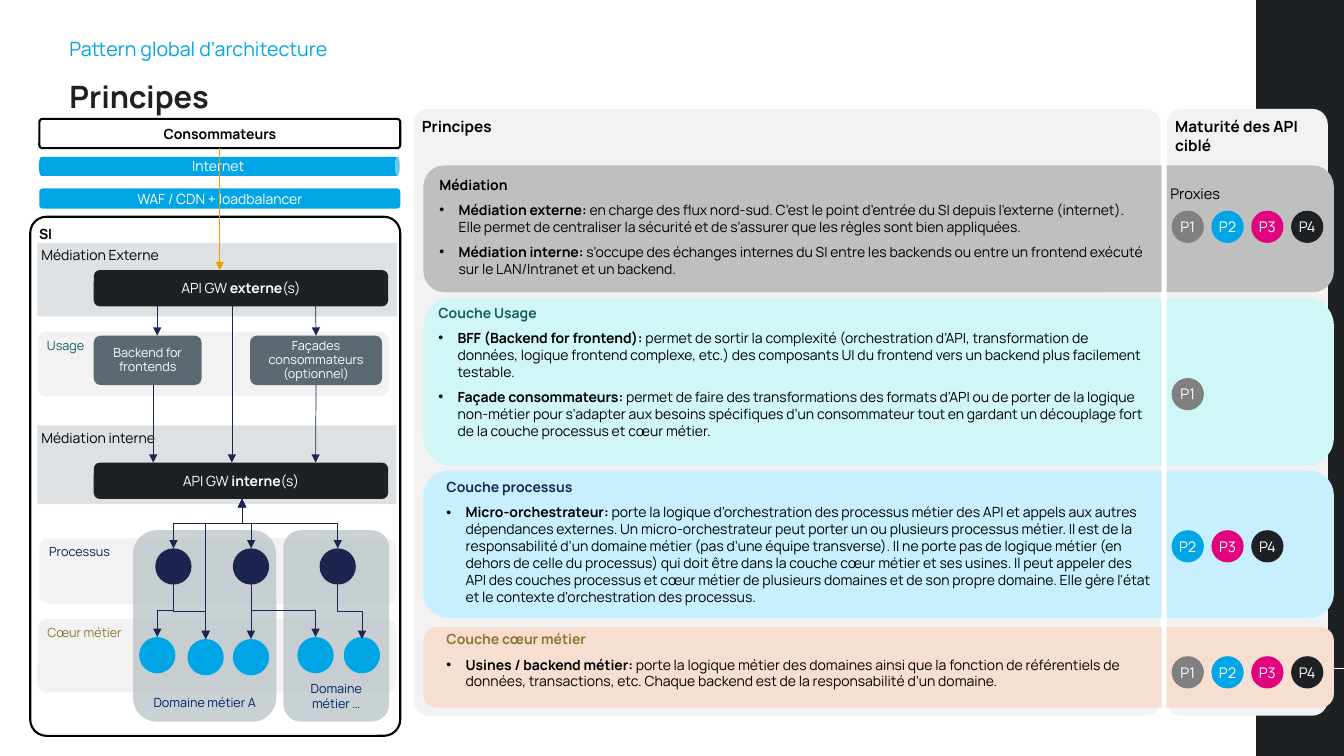
import pptx
import pptx.util
import pptx.dml.color
import pptx.enum.shapes
import pptx.enum.text
import pptx.oxml.ns
import lxml.etree

Inches, Pt, qn = pptx.util.Inches, pptx.util.Pt, pptx.oxml.ns.qn
colour = pptx.dml.color.RGBColor.from_string
Shape = pptx.enum.shapes.MSO_SHAPE
Link = pptx.enum.shapes.MSO_CONNECTOR
Align = pptx.enum.text.PP_ALIGN
Anchor = pptx.enum.text.MSO_ANCHOR
BLACK, WHITE, INK, NAVY, SKY = "000000", "FFFFFF", "1E2124", "1C244F", "00A5E5"
PALE, GREY, BLUE, GOLD, TEAL = "F2F2F2", "DDE1E4", "002060", "8F7332", "136061"

deck = pptx.Presentation()
deck.slide_width, deck.slide_height = Inches(13.33), Inches(7.5)
page = deck.slides.add_slide(deck.slide_layouts[6])


def block(kind, left, top, width, height, fill=None, corner=None, border=None):
    box = page.shapes.add_shape(kind, *map(Inches, (left, top, width, height)))
    box.shadow.inherit = False
    if corner is not None:
        box.adjustments[0] = corner
    if fill:
        box.fill.solid()
        box.fill.fore_color.rgb = colour(fill)
    else:
        box.fill.background()
    if border:
        box.line.color.rgb = colour(border)
        box.line.width = Pt(1.5)
    else:
        box.line.fill.background()
    return box


def write(box, text, size, ink, align=Align.CENTER, anchor=Anchor.MIDDLE,
          inset=(0.04, 0.04), spacing=1.0):
    """Fill a box; asterisks switch bold, and paragraphs after the first are black bullets."""
    frame = box.text_frame
    frame.word_wrap = True
    frame.vertical_anchor = anchor
    frame.margin_left = frame.margin_right = Inches(inset[0])
    frame.margin_top = frame.margin_bottom = Inches(inset[1])
    for row, line in enumerate(text.split("\n")):
        para = frame.add_paragraph() if row else frame.paragraphs[0]
        para.alignment = align
        para.line_spacing = spacing
        if "\n" in text:
            para.space_after = Pt(6)
        if row:
            props = para._p.get_or_add_pPr()
            props.set("marL", str(Inches(0.19)))
            props.set("indent", str(-Inches(0.19)))
            lxml.etree.SubElement(props, qn("a:buFont")).set("typeface", "Arial")
            lxml.etree.SubElement(props, qn("a:buChar")).set("char", "•")
        for turn, piece in enumerate(line.split("*")):
            if piece:
                span = para.add_run()
                span.text = piece
                span.font.name = "Manrope"
                span.font.size = Pt(size)
                span.font.bold = turn % 2 == 1
                span.font.color.rgb = colour(BLACK if row else ink)


# Side band and headings
block(Shape.RECTANGLE, 12.46, 0, 0.87, 7.5, INK)
rule = page.shapes.add_connector(Link.STRAIGHT, *map(Inches, (12.46, 6.63, 13.33, 6.63)))
connectors = [(rule, WHITE, 0.62, False, False)]
for top, height, text, size, ink, anchor in (
        (0.36, 0.29, "Pattern global d’architecture", 14, SKY, Anchor.BOTTOM),
        (0.65, 0.53, "*Principes*", 22, INK, Anchor.MIDDLE)):
    heading = page.shapes.add_textbox(*map(Inches, (0.59, top, 11.31, height)))
    write(heading, text, size, ink, Align.LEFT, anchor, (0.1, 0.05), 1.2)

# Panels and layers, titled at top left
for left, top, width, height, fill, corner, border, text, size, ink, inset, spacing in (
        (11.57, 1.08, 1.6, 6.02, PALE, 0.096, None, "*Maturité des API ciblé*", 11, BLACK, (0.04, 0.04), 1),
        (4.1, 1.08, 7.41, 6.02, PALE, 0.025, None, "*Principes*", 11, BLACK, (0.04, 0.04), 1),
        (0.39, 5.34, 3.54, 0.65, PALE, 0.139, None, "Processus", 9, BLUE, (0.07, 0.05), 0.9),
        (0.37, 6.14, 3.56, 0.73, PALE, 0.139, None, "Cœur métier", 9, GOLD, (0.07, 0.05), 0.9),
        (0.37, 3.29, 3.49, 0.64, PALE, 0.139, None, "Usage", 9, TEAL, (0.07, 0.05), 0.9),
        (0.37, 2.41, 3.57, 0.73, GREY, 0, None, "Médiation Externe", 10, BLACK, (0.04, 0.04), 1),
        (0.37, 4.22, 3.56, 0.78, GREY, 0, None, "Médiation interne", 10, BLACK, (0.04, 0.04), 1),
        (0.3, 2.15, 3.67, 5.15, None, 0.044, BLACK, "*SI*", 10, BLACK, (0.04, 0.04), 1)):
    panel = block(Shape.ROUNDED_RECTANGLE, left, top, width, height, fill, corner, border)
    write(panel, text, size, ink, Align.LEFT, Anchor.TOP, inset, spacing)

# Boxes of the architecture
boxes = {}
for name, left, top, width, height, fill, corner, border, text, size, ink in (
        ("consumers", 0.39, 1.18, 3.58, 0.29, WHITE, 0.108, BLACK, "*Consommateurs*", 10, BLACK),
        ("firewall", 0.39, 1.87, 3.58, 0.2, SKY, 0.167, None, "WAF / CDN + loadbalancer", 10, WHITE),
        ("outer", 0.93, 2.68, 2.92, 0.36, INK, 0.167, None, "API GW *externe*(s)", 10, WHITE),
        ("inner", 0.93, 4.59, 2.92, 0.36, INK, 0.167, None, "API GW *interne*(s)", 10, WHITE),
        ("backend", 0.93, 3.33, 1.07, 0.49, "5B6971", 0.139, None, "Backend for frontends", 9, WHITE),
        ("facades", 2.48, 3.33, 1.31, 0.49, "5B6971", 0.139, None,
         "Façades consommateurs (optionnel)", 9, WHITE)):
    boxes[name] = block(Shape.ROUNDED_RECTANGLE, left, top, width, height, fill, corner, border)
    write(boxes[name], text, size, ink, inset=(0.07, 0.04), spacing=0.9 if size == 9 else 1)

internet = block(Shape.CAN, 2.08, -0.14, 0.19, 3.58, SKY)
internet.rotation = 90
write(internet, "Internet", 10, WHITE)
internet.text_frame._txBody.bodyPr.set("vert", "vert270")

for left, width, text in ((1.32, 1.42, "Domaine métier A"), (2.81, 1.05, "Domaine métier …")):
    domain = block(Shape.ROUNDED_RECTANGLE, left, 5.26, width, 1.9, "BBC4C8")
    tint = domain._element.spPr.find(qn("a:solidFill"))[0]
    lxml.etree.SubElement(tint, qn("a:alpha")).set("val", "77000")
    write(domain, text, 9, BLUE, anchor=Anchor.BOTTOM, inset=(0.04, 0.05))

for fill, dots in ((NAVY, ((1.54, 5.44), (2.31, 5.44), (3.17, 5.44))),
                   (SKY, ((1.38, 6.32), (1.86, 6.34), (2.31, 6.34), (2.95, 6.32), (3.41, 6.32)))):
    for left, top in dots:
        block(Shape.OVAL, left, top, 0.36, 0.36, fill)

# Straight arrows: x, top, bottom, box above, box below
for x, top, bottom, above, below, ink in (
        (2.18, 1.47, 2.68, "consumers", None, "F09A00"),
        (1.56, 3.04, 3.33, None, None, NAVY), (3.13, 3.04, 3.33, None, "facades", NAVY),
        (2.3, 3.04, 4.59, None, None, NAVY),
        (1.52, 3.82, 4.59, None, None, NAVY), (3.13, 3.82, 4.59, "facades", None, NAVY)):
    arrow = page.shapes.add_connector(Link.STRAIGHT, *map(Inches, (x, top, x, bottom)))
    if above:
        arrow.begin_connect(boxes[above], 2)
    if below:
        arrow.end_connect(boxes[below], 0)
    connectors.append((arrow, ink, 0.5, False, True))

# Elbow arrows leave downwards: drawn sideways, then turned a quarter
for x1, y1, x2, y2, bend, double in (
        (2.4, 4.95, 3.35, 5.44, 0.5, True), (2.4, 4.95, 1.72, 5.44, 0.5, True),
        (2.4, 4.95, 2.49, 5.44, 0.5, True), (2.4, 4.95, 2.04, 6.34, 0.174, True),
        (1.72, 5.8, 1.56, 6.32, 0.5, False), (1.72, 5.8, 2.04, 6.34, 0.5, False),
        (2.49, 5.8, 2.49, 6.34, 0.465, False), (2.49, 5.8, 3.13, 6.32, 0.485, False),
        (3.35, 5.8, 3.59, 6.34, 0.5, False)):
    middle_x, middle_y = (x1 + x2) / 2, (y1 + y2) / 2
    reach, rise = (y2 - y1) / 2, abs(x2 - x1) / 2
    side = -1 if x2 >= x1 else 1
    arrow = page.shapes.add_connector(Link.ELBOW, *map(Inches, (
        middle_x - side * reach, middle_y - rise, middle_x + side * reach, middle_y + rise)))
    props = arrow._element.spPr
    props.find(qn("a:xfrm")).set("rot", str((90 if side > 0 else 270) * 60000))
    guide = lxml.etree.SubElement(props.find(qn("a:prstGeom")).find(qn("a:avLst")), qn("a:gd"))
    guide.set("name", "adj1")
    guide.set("fmla", f"val {round(bend * 100000)}")
    connectors.append((arrow, NAVY, 0.5, double, True))

for arrow, ink, width, head, tail in connectors:
    arrow.line.color.rgb = colour(ink)
    arrow.line.width = Pt(width)
    for tag, wanted in (("a:headEnd", head), ("a:tailEnd", tail)):
        if wanted:
            lxml.etree.SubElement(arrow.line._get_or_add_ln(), qn(tag)).set("type", "triangle")
    lxml.etree.SubElement(arrow._element.spPr, qn("a:effectLst"))

# Principle bands with their maturity badges
badges = {"P1": "808080", "P2": SKY, "P3": "E2037E", "P4": INK}
for top, height, fill, left, text_top, width, ink, badge_top, levels, text in (
        (1.64, 1.26, "BFBFBF", 4.26, 1.7, 7.18, BLACK, 2.09, "P1 P2 P3 P4",
         "*Médiation*\n*Médiation externe: *en charge des flux nord-sud. C’est le point d’entrée du SI depuis "
         "l’externe (internet). Elle permet de centraliser la sécurité et de s’assurer que les règles sont bien "
         "appliquées.\n*Médiation interne: *s’occupe des échanges internes du SI entre les backends ou entre un "
         "frontend exécuté sur le LAN/Intranet et un backend."),
        (2.95, 1.67, "D0F6F6", 4.25, 2.97, 7.25, TEAL, 3.75, "P1",
         "*Couche Usage*\n*BFF (Backend for frontend): *permet de sortir la complexité (orchestration d’API, "
         "transformation de données, logique frontend complexe, etc.) des composants UI du frontend vers un "
         "backend plus facilement testable.\n*Façade consommateurs: *permet de faire des transformations des "
         "formats d’API ou de porter de la logique non-métier pour s’adapter aux besoins spécifiques d’un "
         "consommateur tout en gardant un découplage fort de la couche processus et cœur métier."),
        (4.67, 1.46, "C7EFFF", 4.33, 4.7, 7.18, NAVY, 5.26, "P2 P3 P4",
         "*Couche processus*\n*Micro-orchestrateur: *porte la logique d’orchestration des processus métier des "
         "API et appels aux autres dépendances externes. Un micro-orchestrateur peut porter un ou plusieurs "
         "processus métier. Il est de la responsabilité d’un domaine métier (pas d’une équipe transverse). Il ne "
         "porte pas de logique métier (en dehors de celle du processus) qui doit être dans la couche cœur métier "
         "et ses usines. Il peut appeler des API des couches processus et cœur métier de plusieurs domaines et de "
         "son propre domaine. Elle gère l'état et le contexte d'orchestration des processus."),
        (6.22, 0.8, "F6DED0", 4.33, 6.21, 7.08, GOLD, 6.51, "P1 P2 P3 P4",
         "*Couche cœur métier*\n*Usines / backend métier: *porte la logique métier des domaines ainsi que la "
         "fonction de référentiels de données, transactions, etc. Chaque backend est de la responsabilité d’un "
         "domaine.")):
    block(Shape.ROUNDED_RECTANGLE, 4.2, top, 9.03, height, fill)
    body = page.shapes.add_textbox(*map(Inches, (left, text_top, width, height)))
    write(body, text, 10, ink, Align.LEFT, Anchor.TOP, (0.1, 0.05))
    for column, level in enumerate(levels.split()):
        badge = block(Shape.OVAL, 11.62 + 0.395 * column, badge_top, 0.32, 0.32, badges[level])
        write(badge, level, 10.5, WHITE, inset=(0, 0))

proxies = page.shapes.add_textbox(*map(Inches, (11.51, 1.78, 0.74, 0.29)))
write(proxies, "Proxies", 10.5, BLACK, Align.LEFT, Anchor.TOP, (0.1, 0.05))
proxies.text_frame.word_wrap = False
block(Shape.RECTANGLE, 11.52, 1.18, 0.05, 5.92, WHITE)

deck.save("out.pptx")
